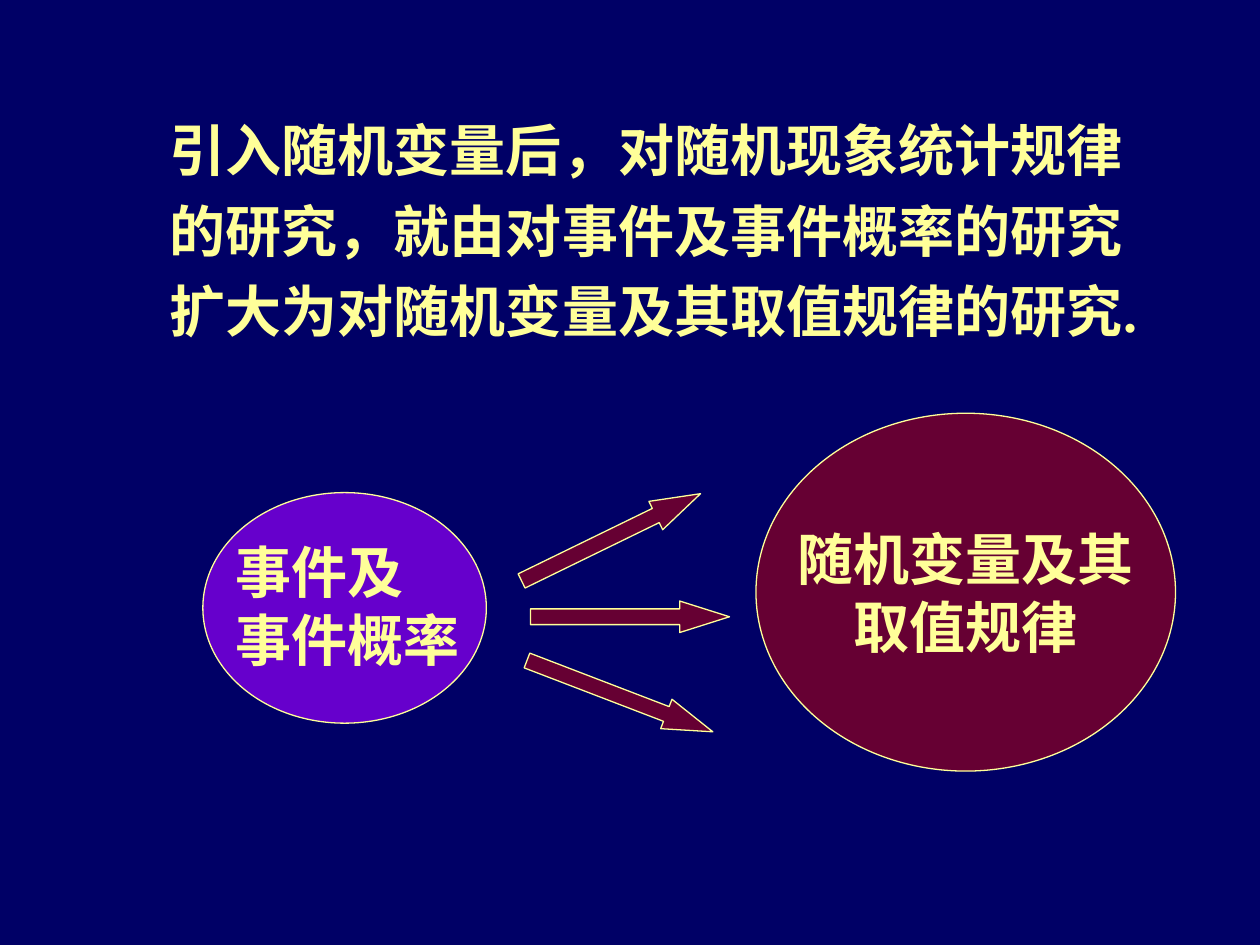
from pptx import Presentation
from pptx.dml.color import RGBColor
from pptx.enum import shapes, text
from pptx.util import Inches, Pt

# Content
STATEMENT = ["引入随机变量后，对随机现象统计规律的研究，就由对事件及事件概率的研究扩大为对随机变量及其取值规律的研究."]
EVENTS = ["事件及", "事件概率"]
VARIABLES = ["随机变量及其", "取值规律"]

# Style
FONT, SIZE = "Times New Roman", 32
NAVY, CREAM, PURPLE, MAROON = "000066", "FFFF99", "6600CC", "660033"

# Layout in inches: left, top, width, height
STATEMENT_BOX = (1.25, 0.76, 8.08, 2.02)
EVENTS_OVAL = (1.61, 3.91, 2.25, 1.83)
EVENTS_BOX = (1.77, 4.22, 1.98, 1.17)
VARIABLES_OVAL = (6, 3.28, 3.33, 2.84)
ARROW_SIZE = (1.58, 0.25)
ARROWS = [(4.21, 4.77, 0), (4.06, 4.14, -26), (4.13, 5.4, 21)]  # left, top, angle


def color(value):
    return RGBColor.from_string(value)


def write(shape, lines, align=text.PP_ALIGN.LEFT, wrap=False, spacing=None):
    frame = shape.text_frame
    frame.text = "\n".join(lines)
    frame.word_wrap = wrap
    for paragraph in frame.paragraphs:
        paragraph.alignment = align
        paragraph.line_spacing = spacing
        for run in paragraph.runs:
            font = run.font
            font.name, font.size, font.bold = FONT, Pt(SIZE), True
            font.color.rgb = color(CREAM)


def add_outlined(slide, kind, box, fill):
    shape = slide.shapes.add_shape(kind, *map(Inches, box))
    shape.shadow.inherit = False
    shape.fill.solid()
    shape.fill.fore_color.rgb = color(fill)
    shape.line.color.rgb = color(CREAM)
    shape.line.width = Pt(0.75)
    return shape


def add_label(slide, box, lines, **options):
    write(slide.shapes.add_textbox(*map(Inches, box)), lines, **options)


def main():
    presentation = Presentation()
    presentation.slide_width, presentation.slide_height = Inches(10), Inches(7.5)
    slide = presentation.slides.add_slide(presentation.slide_layouts[6])
    slide.background.fill.solid()
    slide.background.fill.fore_color.rgb = color(NAVY)

    # Statement
    add_label(slide, STATEMENT_BOX, STATEMENT, wrap=True, spacing=1.2)

    # Events
    oval = shapes.MSO_SHAPE.OVAL
    add_outlined(slide, oval, EVENTS_OVAL, PURPLE)
    add_label(slide, EVENTS_BOX, EVENTS)

    # Arrows fanning out from events to variables
    for left, top, angle in ARROWS:
        arrow = add_outlined(slide, shapes.MSO_SHAPE.RIGHT_ARROW,
                             (left, top, *ARROW_SIZE), MAROON)
        arrow.adjustments[0], arrow.adjustments[1] = 0.5, 1.58
        arrow.rotation = angle

    # Random variables
    variables = add_outlined(slide, oval, VARIABLES_OVAL, MAROON)
    write(variables, VARIABLES, align=text.PP_ALIGN.CENTER)
    variables.text_frame.vertical_anchor = text.MSO_ANCHOR.MIDDLE

    presentation.save("out.pptx")


if __name__ == "__main__":
    main()
